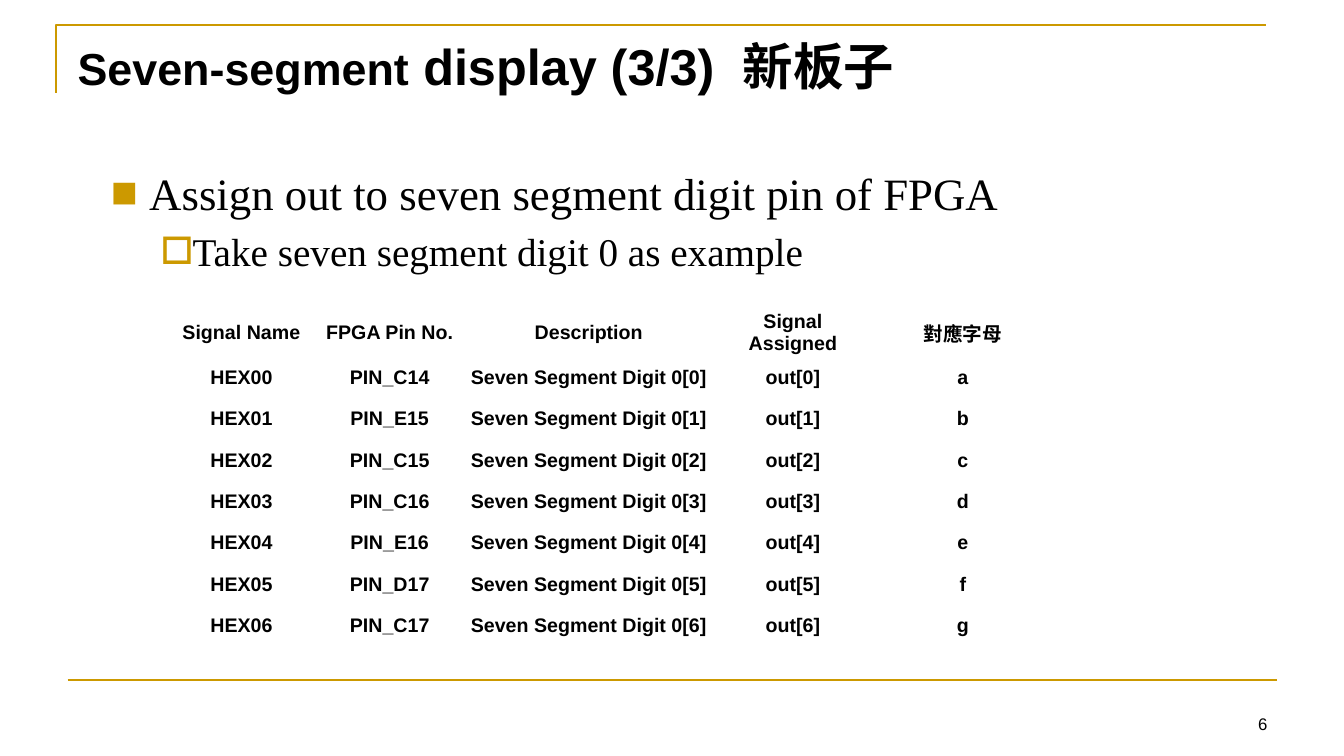
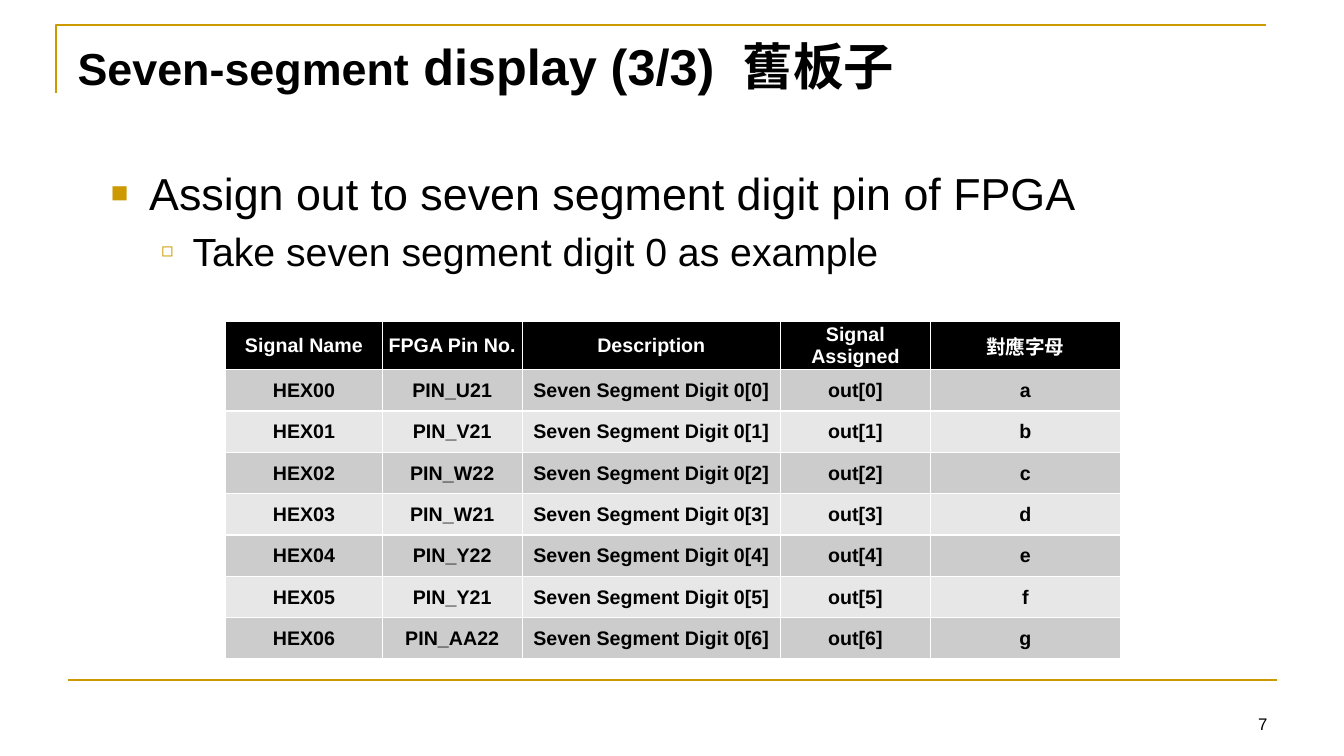
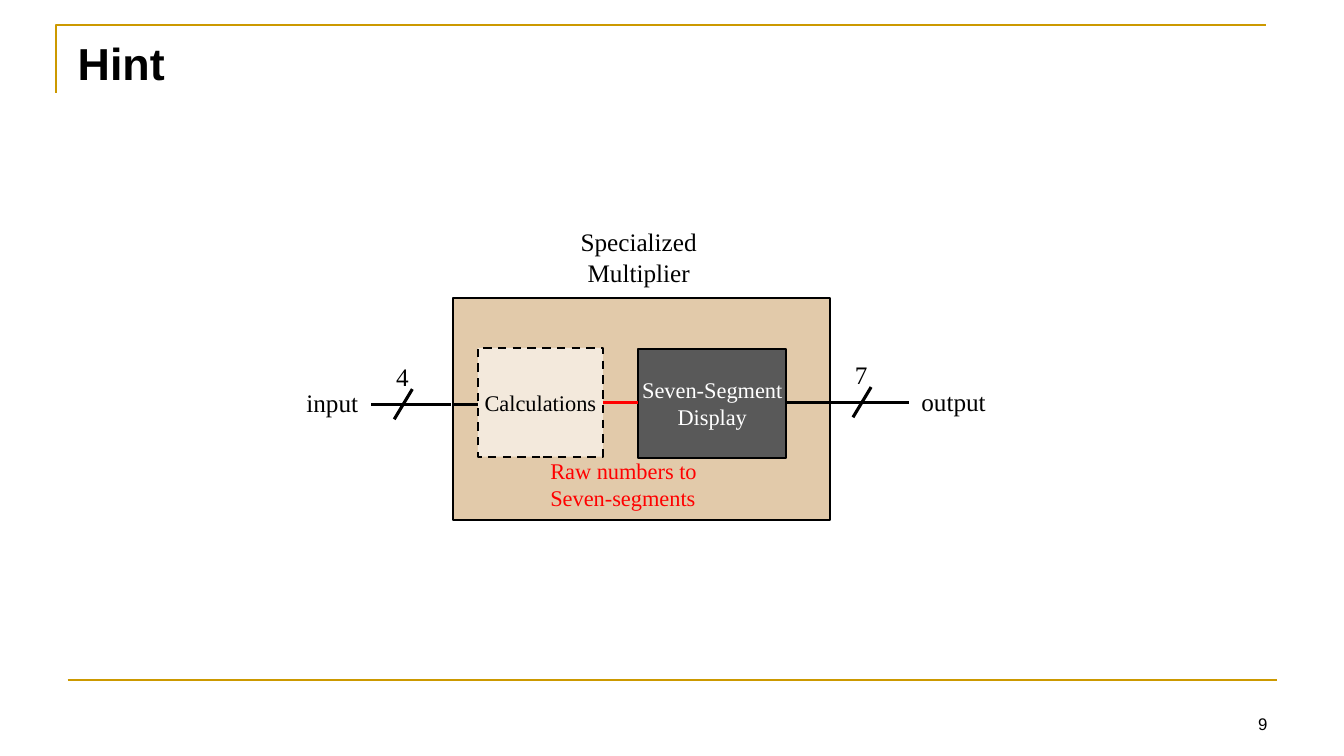
import lxml.etree
import pptx
import pptx.dml.color
import pptx.enum.dml
import pptx.enum.shapes
import pptx.enum.text
import pptx.oxml.ns
import pptx.util

Inches = pptx.util.Inches
Pt = pptx.util.Pt
qn = pptx.oxml.ns.qn
ALIGN = pptx.enum.text.PP_ALIGN
ANCHOR = pptx.enum.text.MSO_ANCHOR


class Theme:
    # Colours
    GOLD, BLACK, WHITE, RED = "CC9900", "000000", "FFFFFF", "FF0000"
    SAND, CREAM, SLATE = "E2CAAA", "F3E9DC", "595959"
    BANDS = ("CCCCCC", "E7E7E7")
    # Fonts
    SANS, SERIF, CJK = "Arial", "Times New Roman", "Noto Sans CJK SC"
    # Type sizes in points
    TITLE, TITLE_BIG, BODY = 32, 36, (32, 28)
    LABEL, BLOCK, CELL, NUMBER = 18, 16, 14, 12
    # Line widths in points
    THIN, WIRE = 1.5, 2.25
    # Table styles: no style and grid-free, dark medium style
    PLAIN_TABLE = "{2D5ABB26-0587-4C30-8999-92F81FD0307C}"
    DARK_TABLE = "{073A0DAA-6AF3-43AB-8588-CEC1D06C72B9}"


SIGNAL_HEAD = ["Signal Name", "FPGA Pin No.", "Description", "Signal Assigned", "對應字母"]
COL_WIDTHS = [1.55, 1.39, 2.56, 1.49, 1.88]
ROW_HEIGHT = 0.41
NEW_PINS = ["C14", "E15", "C15", "C16", "E16", "D17", "C17"]
OLD_PINS = ["U21", "V21", "W22", "W21", "Y22", "Y21", "AA22"]


# Shared helpers
def rgb(value):
    return pptx.dml.color.RGBColor.from_string(value)


def inches(*values):
    return [Inches(v) for v in values]


def set_all(obj, values):
    for name, value in values.items():
        setattr(obj, name, value)


def add_run(p, text, size, font=Theme.SANS, color=Theme.BLACK, bold=False):
    r = p.add_run()
    r.text = text
    set_all(r.font, {"name": font, "size": Pt(size), "bold": bold})
    r.font.color.rgb = rgb(color)
    lxml.etree.SubElement(r.font._element, qn("a:ea"), typeface=Theme.CJK)


def write_lines(tf, lines, size, align=ALIGN.LEFT, **font):
    for i, line in enumerate(lines):
        p = tf.paragraphs[0] if i == 0 else tf.add_paragraph()
        p.alignment = align
        add_run(p, line, size, **font)


def add_text(s, box, lines, size, align=ALIGN.LEFT, anchor=ANCHOR.TOP, **font):
    tf = s.shapes.add_textbox(*inches(*box)).text_frame
    set_all(tf, {"word_wrap": True, "vertical_anchor": anchor})
    write_lines(tf, lines, size, align, **font)


def add_line(s, x1, y1, x2, y2, color=Theme.BLACK, width=Theme.WIRE):
    line = s.shapes.add_connector(pptx.enum.shapes.MSO_CONNECTOR.STRAIGHT,
                                  *inches(x1, y1, x2, y2))
    line.line.color.rgb = rgb(color)
    line.line.width = Pt(width)
    lxml.etree.SubElement(line.element.spPr, qn("a:effectLst"))
    return line


def add_block(s, box, fill, lines=(), color=Theme.BLACK, dashed=False):
    sp = s.shapes.add_shape(pptx.enum.shapes.MSO_SHAPE.RECTANGLE, *inches(*box))
    sp.shadow.inherit = False
    sp.fill.solid()
    sp.fill.fore_color.rgb = rgb(fill)
    sp.line.color.rgb = rgb(Theme.BLACK)
    sp.line.width = Pt(Theme.THIN)
    if dashed:
        sp.line.dash_style = pptx.enum.dml.MSO_LINE.DASH
    set_all(sp.text_frame, {"margin_left": 0, "margin_right": 0,
                            "vertical_anchor": ANCHOR.MIDDLE})
    write_lines(sp.text_frame, lines, Theme.BLOCK, ALIGN.CENTER,
                font=Theme.SERIF, color=color)


# Slide frame
def add_master_rules(prs, s):
    """Draw the gold rules on a slide, then hand them to the master."""
    x, y, w, h = 0.56, 0.25, 12, 0.67
    builder = s.shapes.build_freeform(Inches(x), Inches(y + h))
    builder.add_line_segments([inches(x, y), inches(x + w, y)], close=False)
    corner = builder.convert_to_shape()
    corner.shadow.inherit = False
    corner.fill.background()
    corner.line.color.rgb = rgb(Theme.GOLD)
    corner.line.width = Pt(Theme.THIN)
    footer = add_line(s, 0.67, 6.75, 12.67, 6.75, Theme.GOLD, Theme.THIN)
    for number, rule in enumerate((corner, footer), 101):
        rule.element.xpath(".//p:cNvPr")[0].set("id", str(number))
        prs.slide_master.element.cSld.spTree.append(rule.element)


def place(sp, box):
    set_all(sp, dict(zip(("left", "top", "width", "height"), inches(*box))))
    set_all(sp.text_frame, {"auto_size": pptx.enum.text.MSO_AUTO_SIZE.NONE,
                            "vertical_anchor": ANCHOR.TOP})


def new_slide(prs, layout, title_parts, number):
    s = prs.slides.add_slide(prs.slide_layouts.get_by_name(layout))
    title = s.shapes.title
    place(title, (0.67, 0.3, 12.41, 1.32))
    p = title.text_frame.paragraphs[0]
    p.alignment = ALIGN.LEFT
    for text, size in title_parts:
        add_run(p, text, size, bold=True)
    add_text(s, (9.56, 6.83, 3.11, 0.5), [str(number)], Theme.NUMBER,
             ALIGN.RIGHT, ANCHOR.BOTTOM)
    return s


# Bulleted list
def set_bullet(p, char, percent, left, hanging):
    pPr = p._p.get_or_add_pPr()
    pPr.set("marL", str(Inches(left)))
    pPr.set("indent", str(-Inches(hanging)))
    clr = lxml.etree.SubElement(pPr, qn("a:buClr"))
    lxml.etree.SubElement(clr, qn("a:srgbClr"), val=Theme.GOLD)
    lxml.etree.SubElement(pPr, qn("a:buSzPct"), val=str(percent * 1000))
    lxml.etree.SubElement(pPr, qn("a:buChar"), char=char)


def fill_body(s, box, font, bullets):
    body = s.placeholders[1]
    place(body, box)
    tf = body.text_frame
    write_lines(tf, ["Assign out to seven segment digit pin of FPGA"],
                Theme.BODY[0], font=font)
    p = tf.add_paragraph()
    p.level = 1
    add_run(p, "Take seven segment digit 0 as example", Theme.BODY[1], font)
    indents = ((0.38, 0.38), (0.81, 0.31))
    for p, (char, percent), indent in zip(tf.paragraphs, bullets, indents):
        set_bullet(p, char, percent, *indent)


# Pin table
def add_pin_table(s, x, y, pins, dark):
    rows = [SIGNAL_HEAD] + [
        [f"HEX0{i}", f"PIN_{pin}", f"Seven Segment Digit 0[{i}]", f"out[{i}]", "abcdefg"[i]]
        for i, pin in enumerate(pins)]
    frame = s.shapes.add_table(len(rows), len(COL_WIDTHS), *inches(
        x, y, sum(COL_WIDTHS), ROW_HEIGHT * len(rows)))
    table = frame.table
    set_all(table, {"first_row": dark, "horz_banding": dark})
    style = frame.element.xpath(".//a:tableStyleId")[0]
    style.text = Theme.DARK_TABLE if dark else Theme.PLAIN_TABLE
    for col, width in zip(table.columns, COL_WIDTHS):
        col.width = Inches(width)
    edge = Inches(0.01)
    for i, row in enumerate(rows):
        table.rows[i].height = Inches(ROW_HEIGHT)
        header = dark and i == 0
        for j, text in enumerate(row):
            cell = table.cell(i, j)
            set_all(cell, {"margin_left": edge, "margin_right": edge, "margin_top": edge,
                           "margin_bottom": 0, "vertical_anchor": ANCHOR.MIDDLE})
            if dark:
                cell.fill.solid()
                cell.fill.fore_color.rgb = rgb(
                    Theme.BLACK if header else Theme.BANDS[(i - 1) % 2])
            else:
                cell.fill.background()
            write_lines(cell.text_frame, [text], Theme.CELL, ALIGN.CENTER, bold=True,
                        color=Theme.WHITE if header else Theme.BLACK)


def pin_slide(prs, number, board, pins, table_at, font, bullets, dark):
    s = new_slide(prs, "Title and Content",
                  [("Seven-segment", Theme.TITLE),
                   (f" display (3/3)  {board}", Theme.TITLE_BIG)], number)
    fill_body(s, (1, 1.59, 10.09, 3.44), font, bullets)
    add_pin_table(s, *table_at, pins, dark)
    return s


# Block diagram
def add_bus(s, x, y, bits):
    """A wire with a slash and its number of bits."""
    add_line(s, x, y, x + 0.79, y)
    add_line(s, x + 0.41, y - 0.15, x + 0.23, y + 0.15)
    add_text(s, (x + 0.15, y - 0.47, 0.27, 0.4), [bits], Theme.LABEL, font=Theme.SERIF)


def add_multiplier(s, x, y, w, h):
    serif = {"font": Theme.SERIF}
    wire_in, wire_out = y + 1.05, y + 1.03
    # Outer block and its name
    add_block(s, (x, y, w, h), Theme.SAND)
    add_text(s, (x + 1.16, y - 0.76, 1.37, 0.71), ["Specialized", "Multiplier"],
             Theme.LABEL, ALIGN.CENTER, **serif)
    # Inner blocks
    add_block(s, (x + 1.84, y + 0.5, 1.47, 1.08), Theme.SLATE,
              ["Seven-Segment", "Display"], Theme.WHITE)
    add_block(s, (x + 0.25, y + 0.49, 1.24, 1.08), Theme.CREAM,
              ["Calculations"], dashed=True)
    # Wires inside the block
    add_line(s, x, wire_in, x + 0.25, wire_in)
    add_line(s, x + 1.49, wire_out, x + 1.84, wire_out, Theme.RED)
    add_line(s, x + 3.31, wire_out, x + w, wire_out)
    add_text(s, (x + 0.87, y + 1.53, 2.07, 0.64), ["Raw numbers to Seven-segments"],
             Theme.BLOCK, color=Theme.RED, **serif)
    # Input and output
    add_bus(s, x - 0.81, wire_in, "4")
    add_text(s, (x - 1.55, wire_in - 0.22, 0.72, 0.4), ["input"], Theme.LABEL, **serif)
    add_bus(s, x + w, wire_out, "7")
    add_text(s, (x + w + 0.81, wire_out - 0.21, 0.85, 0.4), ["output"],
             Theme.LABEL, **serif)


def hint_slide(prs, number):
    s = new_slide(prs, "Title Only", [("Hint", Theme.TITLE)], number)
    add_multiplier(s, 4.49, 2.96, 3.74, 2.2)


def main():
    prs = pptx.Presentation()
    set_all(prs, {"slide_width": Inches(13.33), "slide_height": Inches(7.5)})
    first = pin_slide(prs, 6, "新板子", NEW_PINS, (1.62, 3.06), Theme.SERIF,
                      (("■", 100), ("🞐", 100)), dark=False)
    add_master_rules(prs, first)
    pin_slide(prs, 7, "舊板子", OLD_PINS, (2.24, 3.19), Theme.SANS,
              (("■", 65), ("◻", 50)), dark=True)
    hint_slide(prs, 9)
    prs.save("out.pptx")


if __name__ == "__main__":
    main()
